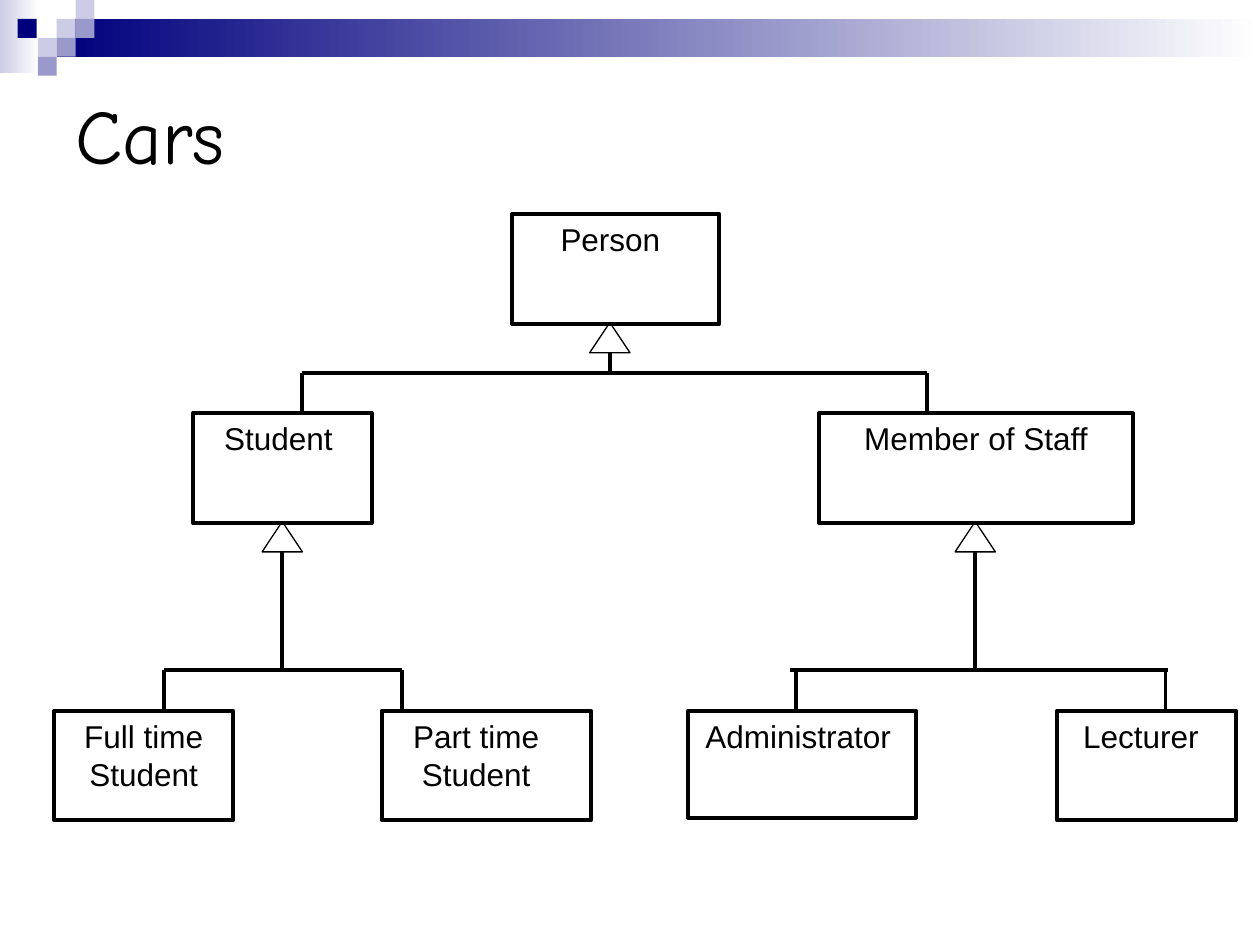
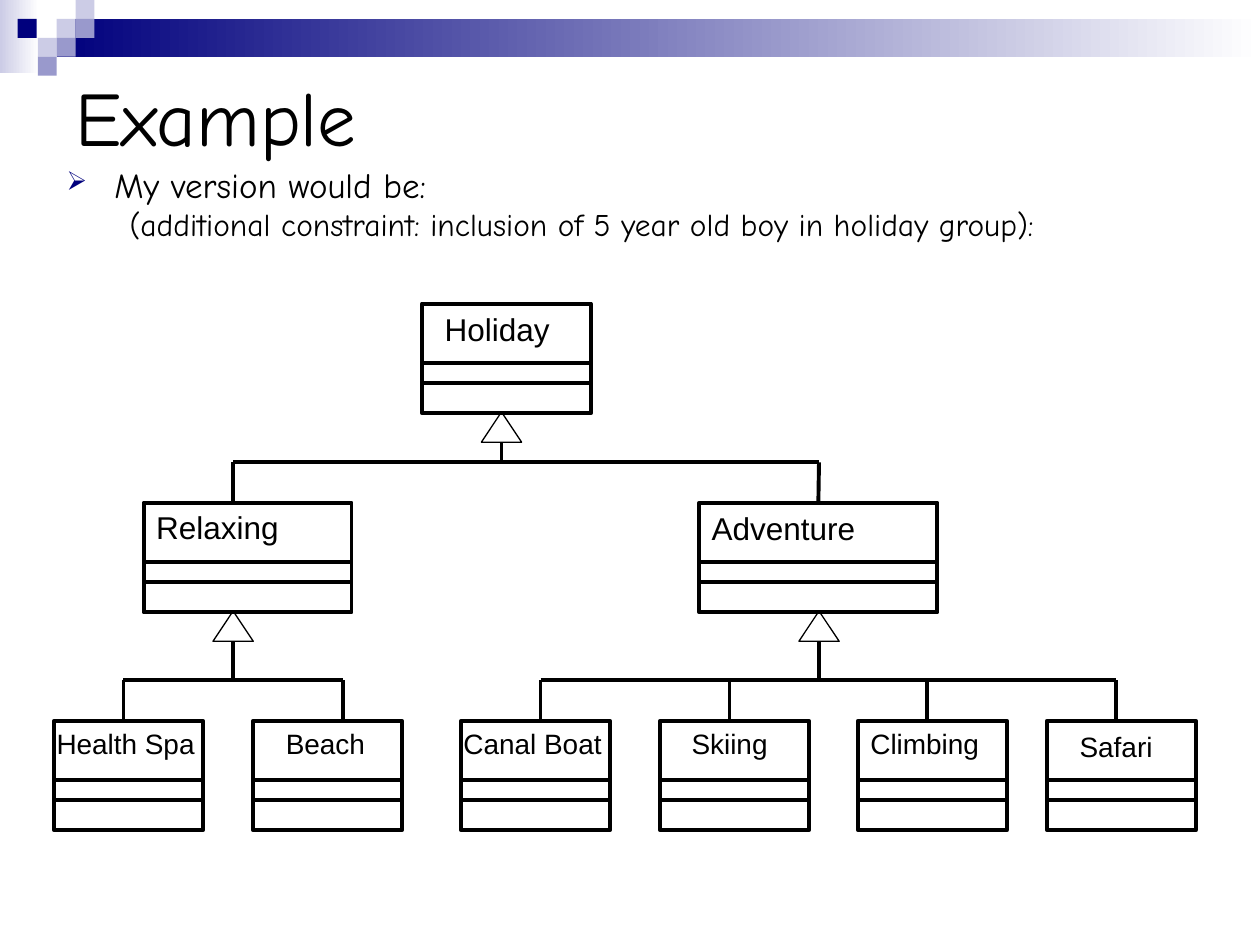
"""Builds two slides of class inheritance trees under a shared banner."""
from dataclasses import dataclass
from typing import Optional

from lxml import etree
from pptx import Presentation
from pptx import util as u
from pptx.dml.color import RGBColor
from pptx.enum import shapes, text
from pptx.oxml.ns import qn

SCALE = 9144
SLIDE_WIDTH, SLIDE_HEIGHT = 1000, 750

BLACK = RGBColor(0x00, 0x00, 0x00)
WHITE = RGBColor(0xFF, 0xFF, 0xFF)
NAVY = RGBColor(0x00, 0x00, 0x7D)
LILAC = RGBColor(0xCC, 0xCC, 0xE6)
PERIWINKLE = RGBColor(0x99, 0x99, 0xCC)

HEADING_FONT = "Comic Neue"
LABEL_FONT = "Arial"
THICK, THIN = 2.25, 0.75

TILE = 15
DROP = 32
ARROW_WIDTH, ARROW_HEIGHT = 32, 24
COMPARTMENTS = (47, 63)


@dataclass(frozen=True)
class Tile:
    left: int
    top: int
    color: RGBColor


@dataclass(frozen=True)
class Node:
    name: str
    left: int
    top: int
    width: int
    label_left: int
    label_width: int
    drop: int = 0
    apex: int = 0
    children: tuple["Node", ...] = ()
    height: int = 87
    label_shift: int = 0
    bus: Optional[tuple[int, int]] = None


@dataclass(frozen=True)
class LabelStyle:
    align: text.PP_ALIGN
    leaf_size: int
    compartments: bool


TILES = (
    Tile(45, 15, LILAC), Tile(60, 0, LILAC), Tile(60, 15, PERIWINKLE),
    Tile(30, 30, LILAC), Tile(14, 15, NAVY), Tile(45, 30, PERIWINKLE),
    Tile(30, 45, PERIWINKLE),
)

PEOPLE = Node("Person", 406, 170, 165, 406, 157, apex=484, children=(
    Node("Student", 153, 328, 142, 146, 150, 240, 224, (
        Node("Full time Student", 43, 564, 142, 43, 142, 130),
        Node("Part time Student", 303, 564, 166, 295, 166, 319),
    )),
    Node("Member of Staff", 650, 328, 249, 650, 249, 736, 774, (
        Node("Administrator", 546, 564, 181, 547, 173, 632, height=85),
        Node("Lecturer", 839, 564, 142, 831, 149, 925),
    ), bus=(627, 927)),
))

HOLIDAYS = Node("Holiday", 335, 241, 134, 343, 118, apex=398, children=(
    Node("Relaxing", 114, 399, 165, 114, 142, 185, 185, (
        Node("Health Spa", 43, 572, 118, 35, 142, 98),
        Node("Beach", 201, 572, 118, 217, 142, 272),
    ), label_shift=-1),
    Node("Adventure", 555, 399, 189, 555, 197, 650, 650, (
        Node("Canal Boat", 366, 572, 118, 358, 142, 429),
        Node("Skiing", 524, 572, 118, 539, 142, 579),
        Node("Climbing", 681, 572, 118, 681, 142, 736),
        Node("Safari", 831, 572, 118, 847, 142, 886, label_shift=2),
    )),
))


def px(length: int) -> u.Emu:
    """Turn a length in px into EMU."""
    return u.Emu(length * SCALE)


def add_figure(page, kind, left: int, top: int, width: int, height: int):
    """Add an unfilled, shadowless preset shape."""
    figure = page.shapes.add_shape(kind, px(left), px(top), px(width), px(height))
    figure.shadow.inherit = False
    figure.fill.background()
    return figure


def add_outlined(page, kind, place: tuple[int, int, int, int], weight: float):
    """Add a shape with a black outline."""
    figure = add_figure(page, kind, *place)
    figure.line.color.rgb = BLACK
    figure.line.width = u.Pt(weight)
    return figure


def add_line(page, x1: int, y1: int, x2: int, y2: int):
    """Add a straight thick black line."""
    line = page.shapes.add_connector(
        shapes.MSO_CONNECTOR.STRAIGHT, px(x1), px(y1), px(x2), px(y2))
    line.line.color.rgb = BLACK
    line.line.width = u.Pt(THICK)
    etree.SubElement(line._element.spPr, qn("a:effectLst"))
    return line


def add_text_box(page, left: int, top: int, width: int, height: int):
    """Add a wrapping text box and return its frame."""
    box = page.shapes.add_textbox(px(left), px(top), px(width), px(height))
    box.text_frame.word_wrap = True
    return box.text_frame


def add_span(para, words: str, font: str, size: int) -> None:
    """Add one black run to a paragraph."""
    span = para.add_run()
    span.text = words
    span.font.name = font
    span.font.size = u.Pt(size)
    span.font.color.rgb = BLACK


def add_gradient(page, width: int, height: int, left: int, top: int, start: RGBColor) -> None:
    """Add a bar that fades from a colour to white, left to right."""
    bar = add_figure(page, shapes.MSO_SHAPE.RECTANGLE, left, top, width, height)
    bar.line.fill.background()
    bar.fill.gradient()
    bar.fill.gradient_angle = 0
    for stop, color, position in zip(bar.fill.gradient_stops, (start, WHITE), (0, 1)):
        stop.color.rgb = color
        stop.position = position


def add_page(deck, title: str, title_top: int):
    """Add a blank slide with the banner and a title."""
    page = deck.slides.add_slide(deck.slide_layouts[6])
    add_gradient(page, 31, 58, 0, 0, LILAC)
    add_gradient(page, 955, 30, 45, 15, NAVY)
    for tile in TILES:
        square = add_figure(
            page, shapes.MSO_SHAPE.RECTANGLE, tile.left, tile.top, TILE, TILE)
        square.fill.solid()
        square.fill.fore_color.rgb = tile.color
        square.line.fill.background()
    frame = add_text_box(page, 50, title_top, 900, 112)
    frame.vertical_anchor = text.MSO_ANCHOR.MIDDLE
    add_span(frame.paragraphs[0], title, HEADING_FONT, 44)
    return page


def add_class_box(page, node: Node, style: LabelStyle):
    """Draw the label, outline and compartments of one class."""
    frame = add_text_box(
        page, node.label_left, node.top + node.label_shift, node.label_width, 40)
    frame.auto_size = text.MSO_AUTO_SIZE.SHAPE_TO_FIT_TEXT
    para = frame.paragraphs[0]
    para.alignment = style.align
    add_span(para, node.name, LABEL_FONT, 18 if node.children else style.leaf_size)
    box = add_outlined(page, shapes.MSO_SHAPE.RECTANGLE,
                       (node.left, node.top, node.width, node.height), THICK)
    if style.compartments:
        for offset in COMPARTMENTS:
            y = node.top + offset
            add_line(page, node.left, y, node.left + node.width, y)
    return box


def add_tree(page, node: Node, style: LabelStyle):
    """Draw a class with all its subclasses and return its box."""
    box = add_class_box(page, node, style)
    if not node.children:
        return box
    arrow_top = node.top + node.height - 1
    add_outlined(page, shapes.MSO_SHAPE.ISOSCELES_TRIANGLE,
                 (node.apex - ARROW_WIDTH // 2, arrow_top, ARROW_WIDTH, ARROW_HEIGHT), THIN)
    bus_y = node.children[0].top - DROP
    drops = [child.drop for child in node.children]
    bus_left, bus_right = node.bus or (min(drops), max(drops))
    add_line(page, node.apex, arrow_top + ARROW_HEIGHT, node.apex, bus_y)
    add_line(page, bus_left, bus_y, bus_right, bus_y)
    for child in node.children:
        child_box = add_tree(page, child, style)
        line = add_line(page, child.drop, bus_y, child.drop, child.top)
        if abs(child.left + child.width / 2 - child.drop) < 1:
            line.end_connect(child_box, 0)
    return box


def add_body_line(para, words: str, size: int, before: float, margin: int, indent: int):
    """Fill one body paragraph and return its properties."""
    add_span(para, words, HEADING_FONT, size)
    para.line_spacing = 0.8
    para.space_before = u.Pt(before)
    properties = para._p.get_or_add_pPr()
    properties.set("marL", str(px(margin)))
    properties.set("indent", str(px(indent)))
    return properties


def add_body(page) -> None:
    """Add the bulleted remark and the line beneath it."""
    frame = add_text_box(page, 43, 131, 900, 79)
    properties = add_body_line(
        frame.paragraphs[0], "My version would be:", 20, 5, 38, -38)
    color = etree.SubElement(properties, qn("a:buClr"))
    etree.SubElement(color, qn("a:srgbClr"), val=str(NAVY))
    etree.SubElement(properties, qn("a:buSzPct"), val="75000")
    etree.SubElement(properties, qn("a:buChar"), char="➢")
    para = frame.add_paragraph()
    para.level = 1
    properties = add_body_line(
        para, "(additional constraint: inclusion of 5 year old boy in holiday group):",
        18, 4.5, 81, -31)
    etree.SubElement(properties, qn("a:buNone"))


def main() -> None:
    """Build and save the deck."""
    deck = Presentation()
    deck.slide_width, deck.slide_height = px(SLIDE_WIDTH), px(SLIDE_HEIGHT)
    people_page = add_page(deck, "Cars", 50)
    add_tree(people_page, PEOPLE, LabelStyle(text.PP_ALIGN.CENTER, 18, False))
    holiday_page = add_page(deck, "Example", 36)
    add_body(holiday_page)
    add_tree(holiday_page, HOLIDAYS, LabelStyle(text.PP_ALIGN.LEFT, 16, True))
    deck.save("out.pptx")


if __name__ == "__main__":
    main()
